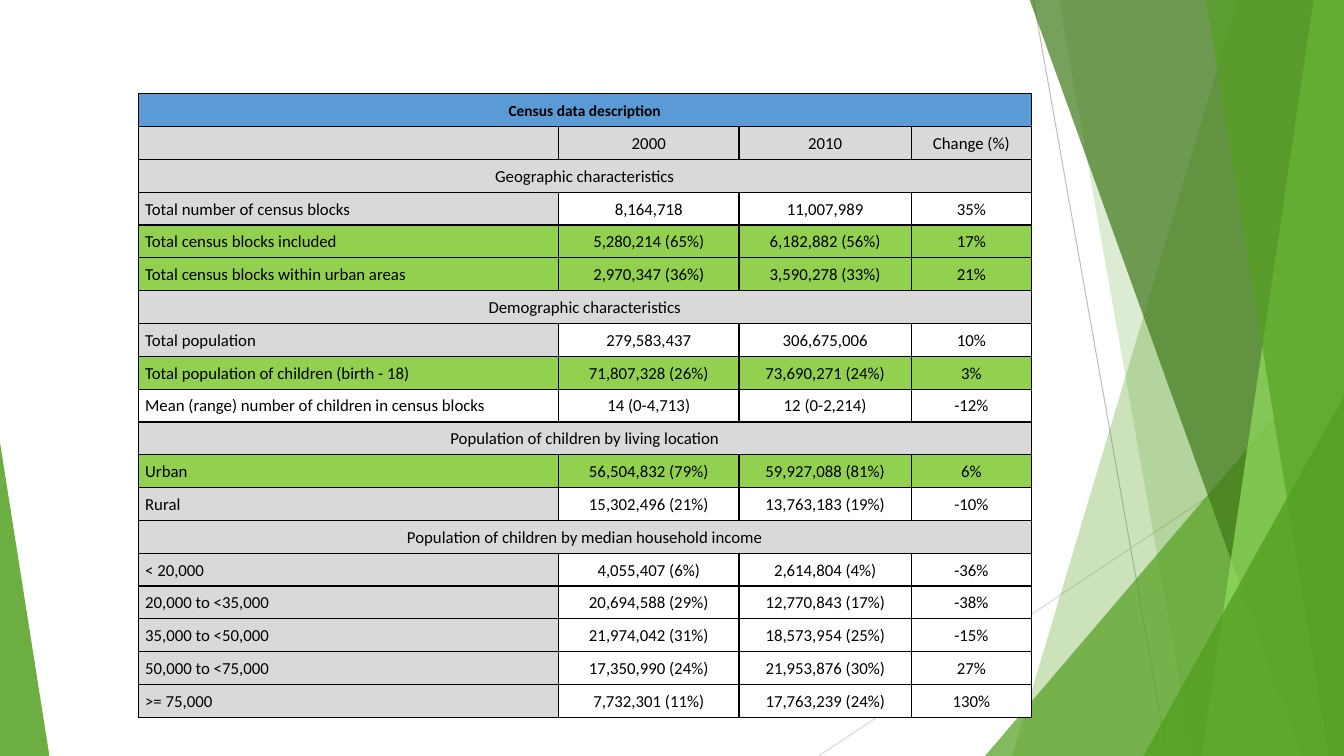
from lxml import etree
from pptx import Presentation
from pptx.dml.color import RGBColor
from pptx.enum.shapes import MSO_CONNECTOR, MSO_SHAPE
from pptx.enum.text import MSO_ANCHOR, PP_ALIGN
from pptx.oxml.ns import qn
from pptx.util import Pt

PX = 9144
STRAIGHT = MSO_CONNECTOR.STRAIGHT
TRIANGLE = MSO_SHAPE.ISOSCELES_TRIANGLE
MIDDLE = MSO_ANCHOR.MIDDLE
LEFT, CENTER = PP_ALIGN.LEFT, PP_ALIGN.CENTER

COLORS = {
    "black": "000000", "white": "FFFFFF", "blue": "5B9BD5", "grey": "D9D9D9",
    "lime": "92D050", "line": "BFBFBF", "green": "54A021", "dark": "3F7819",
    "light": "94DE61",
}

ROW_FILLS = {
    "title": ("blue",) * 4,
    "head": ("grey",) * 4,
    "band": ("grey",) * 4,
    "marked": ("lime",) * 4,
    "open": ("grey", None, None, None),
    "clear": (None,) * 4,
    "solid": ("grey", "white", "white", "white"),
    "income": ("grey", "white", "white", "white"),
}

CENSUS_ROWS = [
    ("title", "Census data description"),
    ("head", "", "2000", "2010", "Change (%)"),
    ("band", "Geographic characteristics"),
    ("open", "Total number of census blocks", "8,164,718", "11,007,989", "35%"),
    ("marked", "Total census blocks included", "5,280,214 (65%)", "6,182,882 (56%)", "17%"),
    ("marked", "Total census blocks within urban areas", "2,970,347 (36%)", "3,590,278 (33%)", "21%"),
    ("band", "Demographic characteristics"),
    ("open", "Total population", "279,583,437", "306,675,006", "10%"),
    ("marked", "Total population of children (birth - 18)", "71,807,328 (26%)", "73,690,271 (24%)", "3%"),
    ("clear", "Mean (range) number of children in census blocks", "14 (0-4,713)", "12 (0-2,214)", "-12%"),
    ("band", "Population of children by living location"),
    ("marked", "Urban", "56,504,832 (79%)", "59,927,088 (81%)", "6%"),
    ("solid", "Rural", "15,302,496 (21%)", "13,763,183 (19%)", "-10%"),
    ("band", "Population of children by median household income"),
    ("income", "< 20,000", "4,055,407 (6%)", "2,614,804 (4%)", "-36%"),
    ("income", "20,000 to <35,000", "20,694,588 (29%)", "12,770,843 (17%)", "-38%"),
    ("income", "35,000 to <50,000", "21,974,042 (31%)", "18,573,954 (25%)", "-15%"),
    ("income", "50,000 to <75,000", "17,350,990 (24%)", "21,953,876 (30%)", "27%"),
    ("income", ">= 75,000", "7,732,301 (11%)", "17,763,239 (24%)", "130%"),
]
COLUMN_WIDTHS = (417, 179, 171, 119)


def rgb(name):
    return RGBColor.from_string(COLORS[name])


def add_line(page, start, end, color):
    line = page.shapes.add_connector(STRAIGHT, *(value * PX for value in start + end))
    line.line.color.rgb = rgb(color)
    line.line.width = Pt(0.75)
    etree.SubElement(line._element.spPr, qn("a:effectLst"))


def paint_facet(facet, color, opacity):
    facet.shadow.inherit = False
    facet.line.fill.background()
    facet.fill.solid()
    facet.fill.fore_color.rgb = rgb(color)
    tint = facet._element.spPr.find(qn("a:solidFill"))[0]
    etree.SubElement(tint, qn("a:alpha"), val=str(opacity * 1000))


def add_blade(page, box, top_left, bottom_left, color, opacity):
    left, top, width, height = box
    right, bottom = left + width, top + height
    builder = page.shapes.build_freeform(top_left, top, scale=PX)
    builder.add_line_segments([(right, top), (right, bottom), (bottom_left, bottom)])
    paint_facet(builder.convert_to_shape(), color, opacity)


def add_corner(page, box, apex, color, opacity):
    corner = page.shapes.add_shape(TRIANGLE, *(value * PX for value in box))
    corner.adjustments[0] = apex
    paint_facet(corner, color, opacity)


def add_facets(page, box):
    left, top, width, height = box
    right, bottom = left + width, top + height
    blade_box = (left, top - 1, width, height + 1)
    add_line(page, (1025, top), (1158, bottom), "line")
    add_line(page, (right, 403), (812, bottom), "grey")
    add_blade(page, blade_box, 1228, 1004, "green", 30)
    add_blade(page, blade_box, 1050, 1183, "green", 20)
    add_corner(page, (977, 333, 356, 417), 1, "green", 72)
    add_blade(page, blade_box, 1021, 1291, "dark", 70)
    add_blade(page, blade_box, 1303, 1192, "light", 70)
    add_blade(page, blade_box, 1196, 1318, "green", 65)
    add_corner(page, (1134, 393, 199, 357), 1, "green", 80)
    add_corner(page, (left, 439, 49, 311), 0, "green", 85)


def add_borders(cell):
    properties = cell._tc.get_or_add_tcPr()
    for side in ("lnL", "lnR", "lnT", "lnB"):
        border = etree.SubElement(properties, qn(f"a:{side}"), w=str(Pt(1)))
        fill = etree.SubElement(border, qn("a:solidFill"))
        etree.SubElement(fill, qn("a:srgbClr"), val=COLORS["black"])


def format_font(font, name, size, bold):
    font.name = name
    font.size = Pt(size)
    font.bold = bold
    font.color.rgb = rgb("black")


def format_cell(cell, fill):
    add_borders(cell)
    cell.margin_left = cell.margin_right = 7 * PX
    cell.margin_top = cell.margin_bottom = 0
    cell.vertical_anchor = MIDDLE
    if fill:
        cell.fill.solid()
        cell.fill.fore_color.rgb = rgb(fill)
    else:
        cell.fill.background()


def write_cell(cell, text, kind, column):
    para = cell.text_frame.paragraphs[0]
    para.line_spacing = 1.07
    centered = column > 0 or kind in ("title", "band")
    para.alignment = CENTER if centered else LEFT
    is_title = kind == "title"
    size = 11 if is_title else 12
    para.font.size = Pt(size)
    split = kind == "income" and column == 2
    for piece in text.partition(" ") if split else (text,):
        if piece:
            run = para.add_run()
            run.text = piece
            if piece == " ":
                format_font(run.font, "Times New Roman", 10.5, False)
            else:
                format_font(run.font, "Calibri", size, is_title)


def add_census_table(page, box):
    frame = page.shapes.add_table(
        len(CENSUS_ROWS), len(COLUMN_WIDTHS), *(value * PX for value in box))
    table = frame.table
    table.first_row = False
    table.horz_banding = False
    for column, width in zip(table.columns, COLUMN_WIDTHS):
        column.width = width * PX
    for row, (kind, *texts) in enumerate(CENSUS_ROWS):
        table.rows[row].height = box[3] * PX // len(CENSUS_ROWS)
        for column, fill in enumerate(ROW_FILLS[kind]):
            format_cell(table.cell(row, column), fill)
        if len(texts) == 1:
            table.cell(row, 0).merge(table.cell(row, len(COLUMN_WIDTHS) - 1))
        for column, text in enumerate(texts):
            write_cell(table.cell(row, column), text, kind, column)


def main():
    deck = Presentation()
    deck.slide_width = 1333 * PX
    deck.slide_height = 750 * PX
    page = deck.slides.add_slide(deck.slide_layouts[6])
    add_facets(page, (0, 0, 1333, 750))
    add_census_table(page, (137, 93, 886, 619))
    deck.save("out.pptx")


if __name__ == "__main__":
    main()
